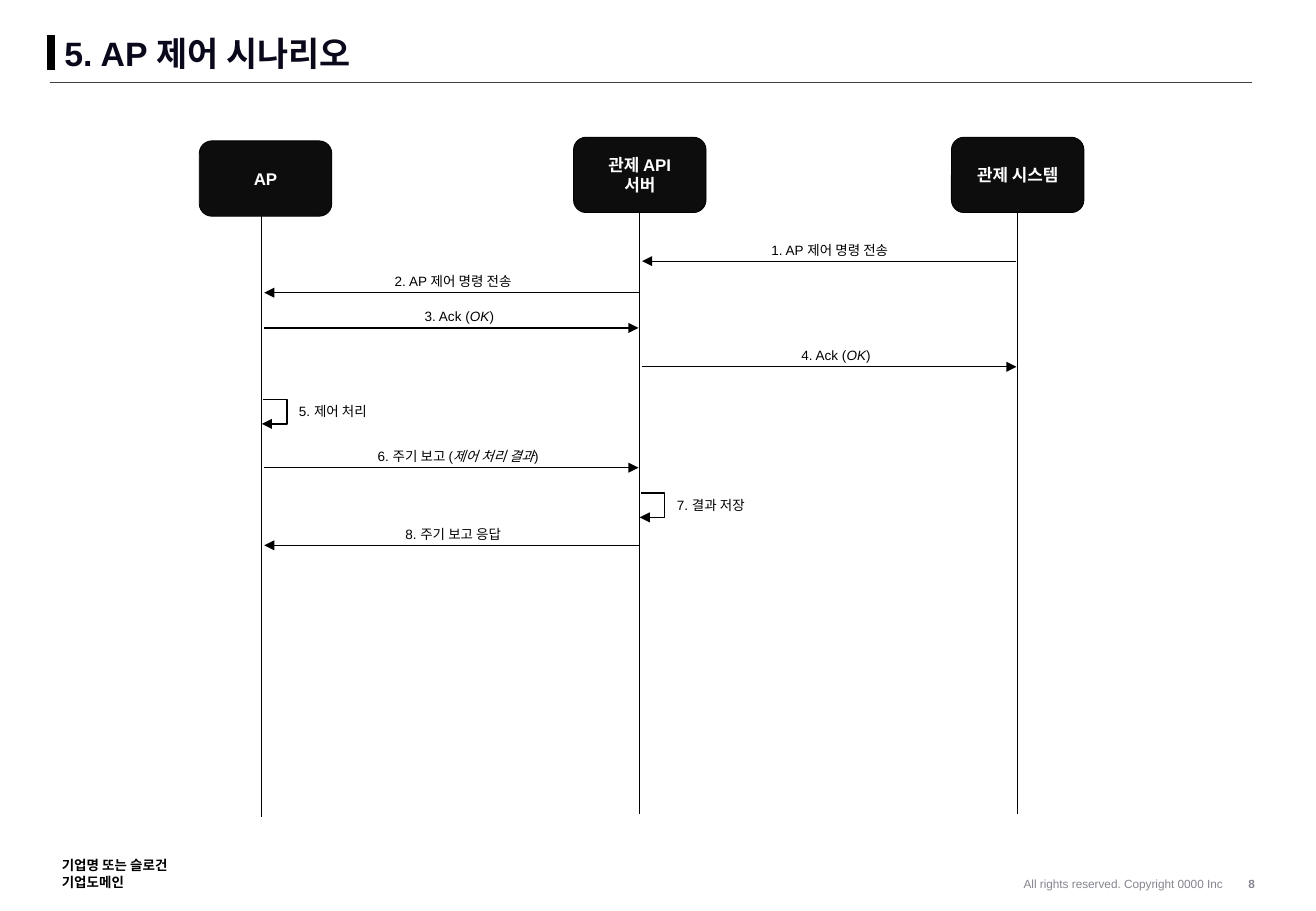
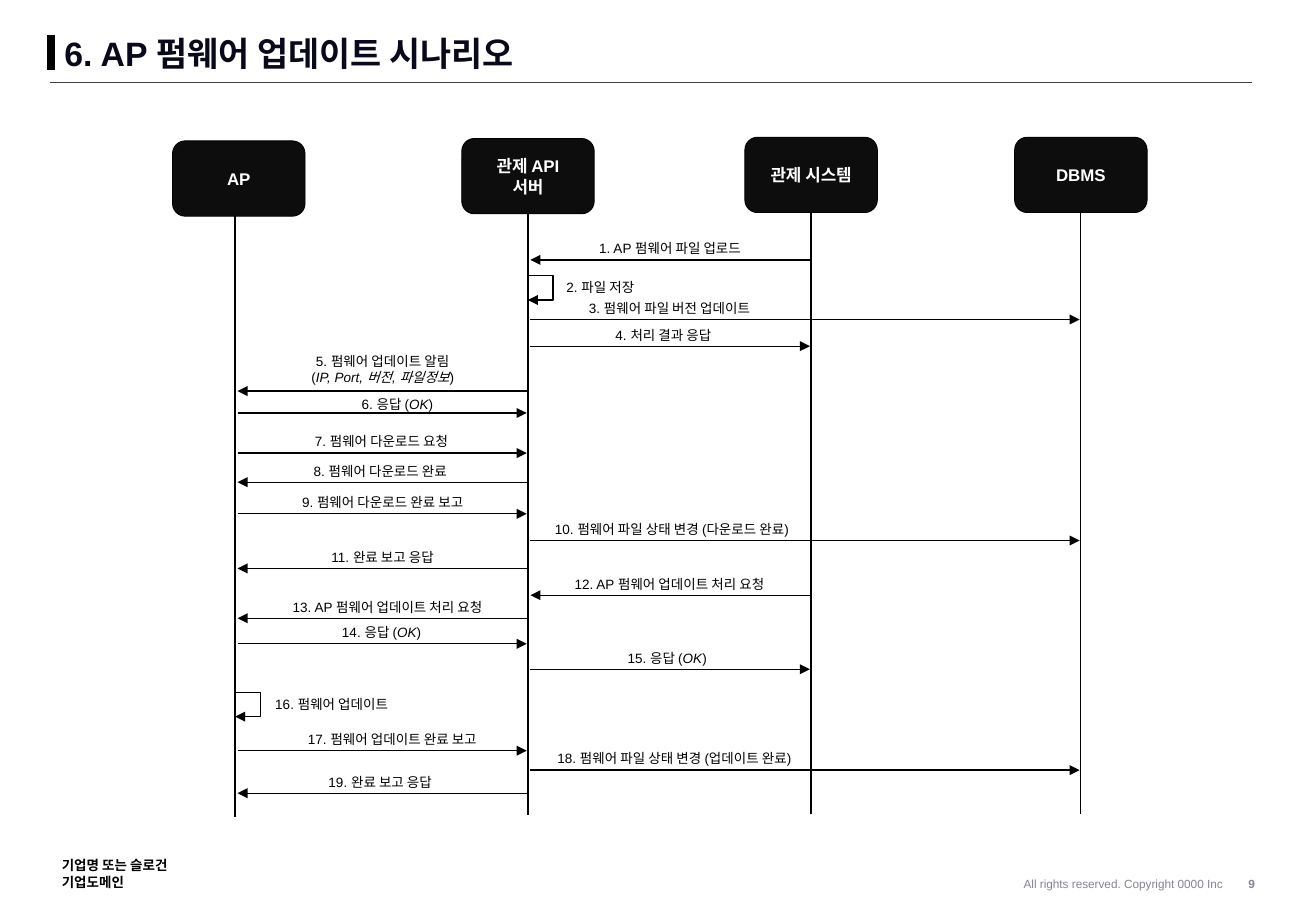
"""Builds two sequence-diagram slides on access point control and firmware update."""
from pptx import Presentation
from pptx import util as u
from pptx.dml import color
from pptx.enum import shapes, text
from pptx.oxml.ns import qn
from lxml import etree

INK, DARK, NAVY, GREY, RULE, WHITE = "000000", "0D0D0D", "0A091B", "858591", "404040", "FFFFFF"
FONT = "Arial"
BOX_W, BOX_H, LIFE = 1.09, 0.62, 4.95
LEFT, MID, RIGHT = text.PP_ALIGN.LEFT, text.PP_ALIGN.CENTER, text.PP_ALIGN.RIGHT
STRAIGHT, ELBOW = shapes.MSO_CONNECTOR.STRAIGHT, shapes.MSO_CONNECTOR.ELBOW

SLIDES = [
    dict(
        title="5. AP 제어 시나리오", page="8",
        actors=[
            ("AP", 1.64, 1.16, -0.03),
            ("관제 API\n서버", 4.72, 1.13, 0),
            ("관제 시스템", 7.83, 1.13, 0),
        ],
        calls=[
            ("1. AP 제어 명령 전송", 2, 1, 2.15, 6.2, 1.26),
            ("2. AP 제어 명령 전송", 1, 0, 2.41, 3.1, 1.26),
            ("3. Ack (*OK*)", 0, 1, 2.7, 3.39, 0.78),
            ("4. Ack (*OK*)", 1, 2, 3.02, 6.49, 0.78),
            ("5. 제어 처리", 0, 0, 3.29, 2.33, 0.82),
            ("6. 주기 보고 (*제어 처리 결과*)", 0, 1, 3.85, 2.93, 1.68),
            ("7. 결과 저장", 1, 1, 4.06, 5.44, 0.82),
            ("8. 주기 보고 응답", 1, 0, 4.49, 3.19, 1.08),
        ]),
    dict(
        title="6. AP 펌웨어 업데이트 시나리오", page="9",
        actors=[
            ("AP", 1.42, 1.16, -0.03),
            ("관제 API\n서버", 3.8, 1.14, 0),
            ("관제 시스템", 6.13, 1.13, 0),
            ("DBMS", 8.35, 1.13, 0),
        ],
        calls=[
            ("1. AP 펌웨어 파일 업로드", 2, 1, 2.14, 4.77, 1.49),
            ("2. 파일 저장", 1, 1, 2.27, 4.53, 0.82),
            ("3. 펌웨어 파일 버전 업데이트", 1, 3, 2.63, 4.67, 1.68),
            ("4. 처리 결과 응답", 1, 2, 2.85, 4.92, 1.08),
            ("5. 펌웨어 업데이트 알림\n(*IP, Port, 버전, 파일정보*)", 1, 0, 3.22, 2.1, 2.1, 0.36),
            ("6. 응답 (*OK*)", 0, 1, 3.4, 2.86, 0.82, 0.19),
            ("7. 펌웨어 다운로드 요청", 0, 1, 3.73, 2.43, 1.42),
            ("8. 펌웨어 다운로드 완료", 1, 0, 3.97, 2.42, 1.42),
            ("9. 펌웨어 다운로드 완료 보고", 0, 1, 4.23, 2.31, 1.68),
            ("10. 펌웨어 파일 상태 변경 (다운로드 완료)", 1, 3, 4.45, 4.36, 2.34),
            ("11. 완료 보고 응답", 1, 0, 4.68, 2.58, 1.14),
            ("12. AP 펌웨어 업데이트 처리 요청", 2, 1, 4.9, 4.55, 1.92),
            ("13. AP 펌웨어 업데이트 처리 요청", 1, 0, 5.09, 2.23, 1.92),
            ("14. 응답 (*OK*)", 0, 1, 5.3, 2.7, 0.88),
            ("15. 응답 (*OK*)", 1, 2, 5.51, 5.05, 0.88),
            ("16. 펌웨어 업데이트", 0, 0, 5.7, 2.12, 1.22),
            ("17. 펌웨어 업데이트 완료 보고", 0, 1, 6.18, 2.36, 1.74),
            ("18. 펌웨어 파일 상태 변경 (업데이트 완료)", 1, 3, 6.34, 4.38, 2.34),
            ("19. 완료 보고 응답", 1, 0, 6.53, 2.56, 1.14),
        ]),
]


def rgb(code):
    return color.RGBColor.from_string(code)


def write(frame, words, size, ink, bold=False, align=LEFT):
    for i, row in enumerate(words.split("\n")):
        para = frame.paragraphs[0] if i == 0 else frame.add_paragraph()
        para.alignment = align
        for j, part in enumerate(row.split("*")):
            if not part:
                continue
            run = para.add_run()
            run.text = part
            font = run.font
            font.name, font.size, font.bold = FONT, u.Pt(size), bold
            font.italic = j % 2 == 1
            font.color.rgb = rgb(ink)


def bare(frame):
    frame.margin_left = frame.margin_right = frame.margin_top = frame.margin_bottom = 0


def label(slide, at, words, size, ink, bold=False, align=LEFT, wrap=True):
    frame = slide.shapes.add_textbox(*map(u.Inches, at)).text_frame
    frame.word_wrap = wrap
    if not wrap:
        frame.auto_size = text.MSO_AUTO_SIZE.SHAPE_TO_FIT_TEXT
    write(frame, words, size, ink, bold, align)
    return frame


def line(slide, start, end, ink=INK, width=0.75, kind=STRAIGHT, arrow=False):
    link = slide.shapes.add_connector(kind, *map(u.Inches, start + end))
    link.line.color.rgb = rgb(ink)
    link.line.width = u.Pt(width)
    props = link._element.spPr
    if arrow:
        etree.SubElement(props.find(qn("a:ln")), qn("a:tailEnd"), type="triangle")
    etree.SubElement(props, qn("a:effectLst"))
    return link


def frame_up(slide, title, page):
    line(slide, (0.42, 0.29), (0.42, 0.58), width=5)
    line(slide, (0.41, 0.68), (10.3, 0.68), RULE, 0.5)
    num = label(slide, (10.06, 7.17, 0.48, 0.21), page, 7, GREY, True, MID)
    bare(num)
    num.paragraphs[0].line_spacing = u.Pt(12)
    rights = label(slide, (7.54, 7.18, 2.62, 0.19), "All rights reserved. Copyright 0000 Inc",
                   7, GREY, align=RIGHT)
    rights.vertical_anchor = text.MSO_ANCHOR.MIDDLE
    label(slide, (0.41, 7.01, 1.18, 0.37), "기업명 또는 슬로건\n기업도메인", 8, INK, True, wrap=False)
    head = slide.shapes.title
    head.left, head.top, head.width, head.height = map(u.Inches, (0.53, 0.3, 8.43, 0.31))
    frame = head.text_frame
    bare(frame)
    frame.vertical_anchor = text.MSO_ANCHOR.BOTTOM
    frame.auto_size = text.MSO_AUTO_SIZE.SHAPE_TO_FIT_TEXT
    write(frame, title, 20, NAVY, True)
    frame.paragraphs[0].line_spacing = 0.9


def actor(slide, name, left, top, shift):
    box = slide.shapes.add_shape(shapes.MSO_SHAPE.ROUNDED_RECTANGLE,
                                 *map(u.Inches, (left, top, BOX_W, BOX_H)))
    box.shadow.inherit = False
    box.fill.solid()
    box.fill.fore_color.rgb = rgb(DARK)
    box.line.color.rgb = rgb(INK)
    box.line.width = u.Pt(0.5)
    box.text_frame.vertical_anchor = text.MSO_ANCHOR.MIDDLE
    write(box.text_frame, name, 10, WHITE, True, MID)
    x, y = left + BOX_W / 2 + shift, top + BOX_H
    life = line(slide, (x, y), (x, y + LIFE))
    if not shift:
        life.begin_connect(box, 2)
    return x


def call(slide, lives, words, src, dst, y, left, wide, lift=0.21):
    x, end = lives[src], lives[dst]
    if src == dst:
        lift = 0.02
        loop = line(slide, (x + 0.01, y), (x, y + 0.2), kind=ELBOW, arrow=True)
        guides = loop._element.spPr.find(qn("a:prstGeom")).find(qn("a:avLst"))
        etree.SubElement(guides, qn("a:gd"), name="adj1", fmla="val -2000000")
    else:
        near, far = (0.02, -0.01) if src < dst else (-0.01, 0.02)
        line(slide, (x + near, y), (end + far, y), arrow=True)
    tall = 0.24 + 0.13 * words.count("\n")
    frame = label(slide, (left, y - lift, wide, tall), words, 8, INK, align=MID)
    frame.margin_left = frame.margin_right = 0


def main():
    deck = Presentation()
    deck.slide_width, deck.slide_height = u.Inches(10.83), u.Inches(7.5)
    for data in SLIDES:
        slide = deck.slides.add_slide(deck.slide_layouts[5])
        frame_up(slide, data["title"], data["page"])
        lives = [actor(slide, *item) for item in data["actors"]]
        for item in data["calls"]:
            call(slide, lives, *item)
    deck.save("out.pptx")


if __name__ == "__main__":
    main()
